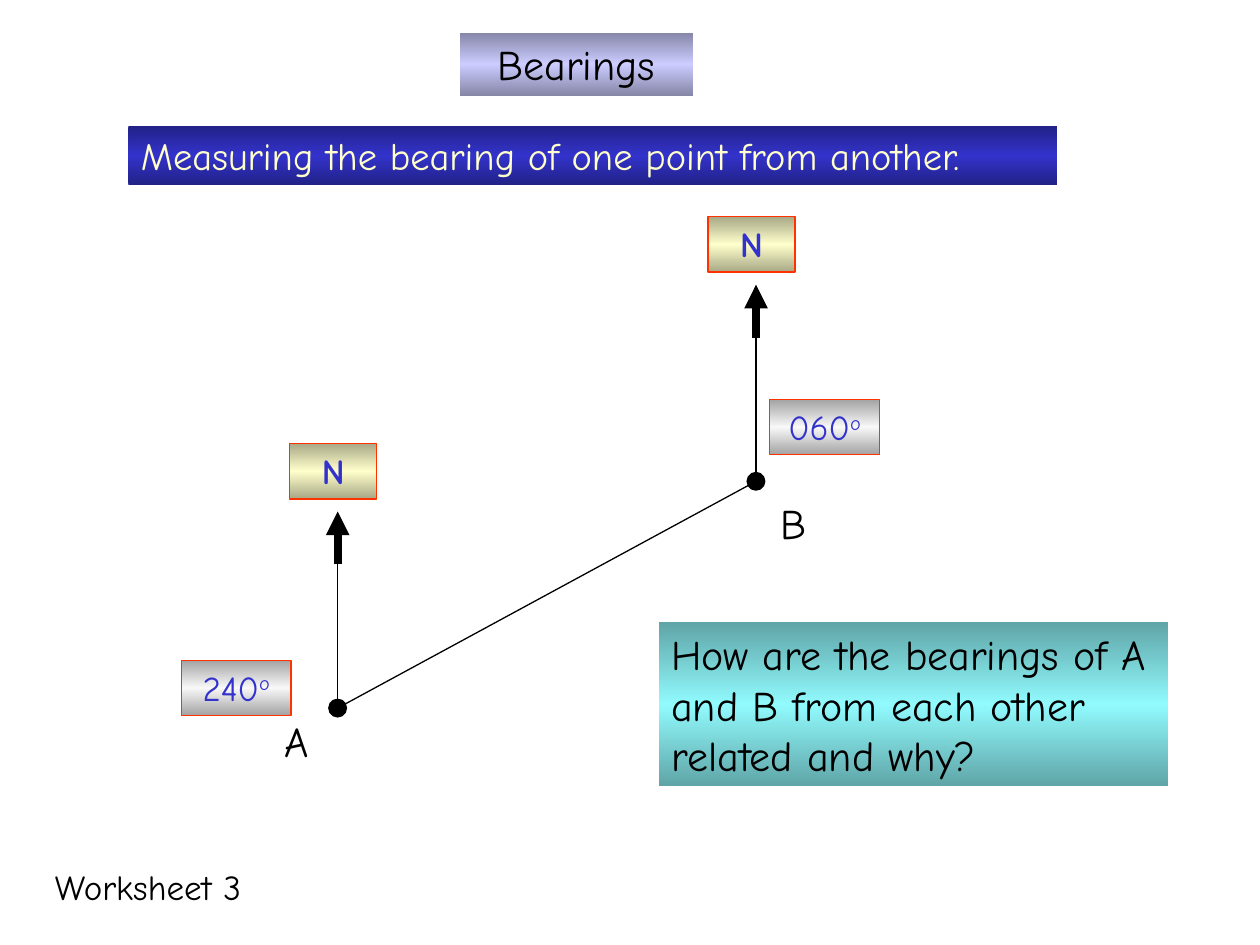
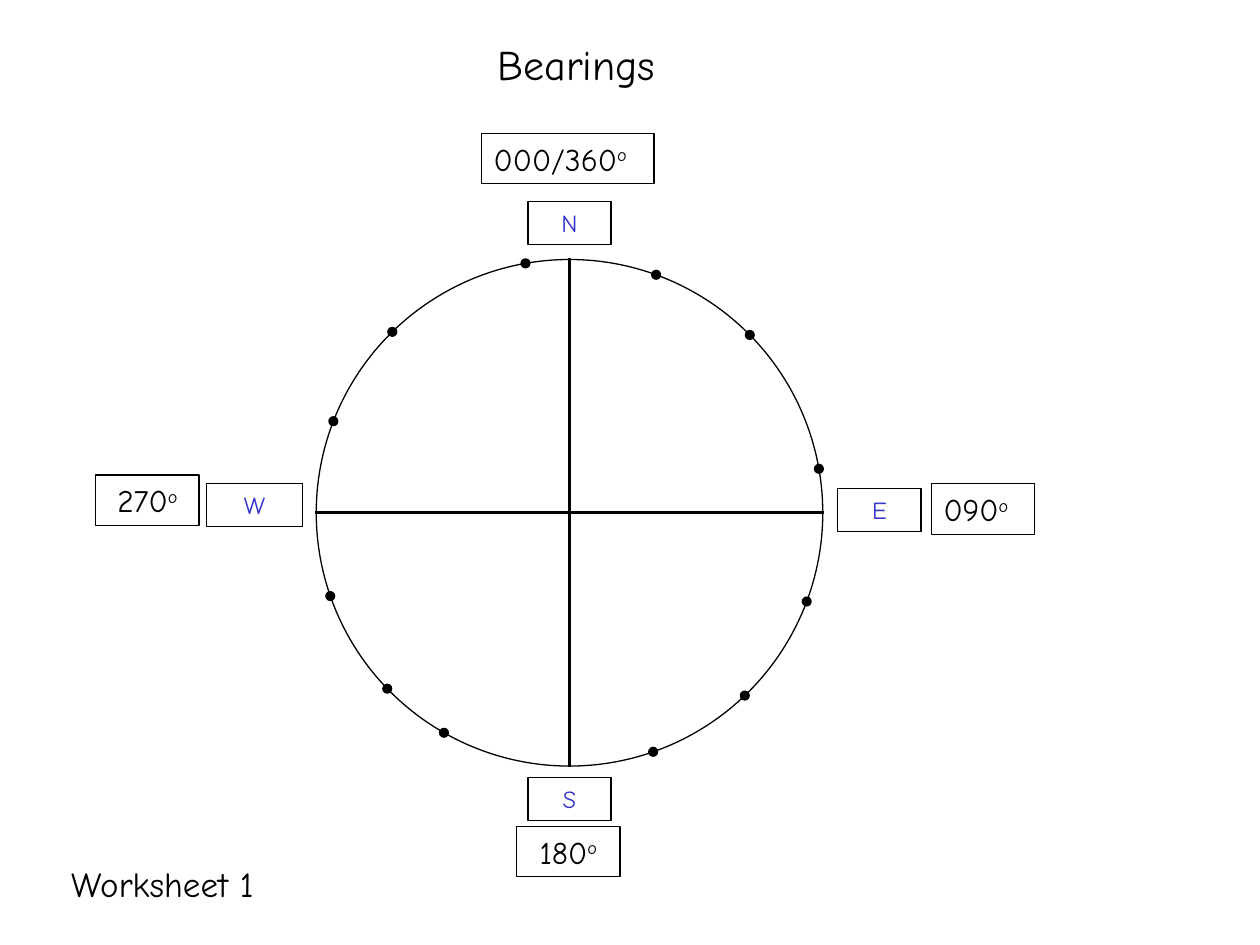
import copy
import math

import pptx
import pptx.dml.color
import pptx.enum.shapes
import pptx.enum.text
import pptx.oxml.ns
import pptx.util
from lxml import etree

Inches = pptx.util.Inches
Pt = pptx.util.Pt
RGBColor = pptx.dml.color.RGBColor
Align = pptx.enum.text.PP_ALIGN
qn = pptx.oxml.ns.qn

FONT = "Comic Neue"
BLACK = RGBColor(0x00, 0x00, 0x00)
BLUE = RGBColor(0x33, 0x33, 0xCC)
CREAM = RGBColor(0xFF, 0xFF, 0xCC)
RED = RGBColor(0xFF, 0x33, 0x00)
LILAC_BAND = (RGBColor(0x86, 0x86, 0xA8), RGBColor(0xCC, 0xCC, 0xFF))
BLUE_BAND = (RGBColor(0x21, 0x21, 0x86), BLUE)
CREAM_BAND = (RGBColor(0xA8, 0xA8, 0x86), CREAM)
GREY_BAND = (RGBColor(0xA3, 0xA3, 0xA3), RGBColor(0xF8, 0xF8, 0xF8))
TEAL_BAND = (RGBColor(0x5F, 0xA5, 0xA7), RGBColor(0x91, 0xFA, 0xFD))


def fill_band(shape, band):
    edge, middle = band
    shape.fill.gradient()
    shape.fill.gradient_angle = 90
    stop_list = next(shape._element.iter(qn("a:gsLst")))
    stop_list.insert(1, copy.deepcopy(stop_list[0]))
    for stop, colour, position in zip(shape.fill.gradient_stops,
                                      (edge, middle, edge), (0, 0.5, 1)):
        stop.color.rgb = colour
        stop.position = position


def add_span(para, text, size, colour, bold=False, raised=False):
    span = para.add_run()
    span.text = text
    span.font.name = FONT
    span.font.size = Pt(size)
    span.font.color.rgb = colour
    if bold:
        span.font.bold = True
    if raised:
        span._r.get_or_add_rPr().set("baseline", "30000")


def add_label(slide, place, text, size, colour=BLACK, align=Align.CENTER,
              band=None, border=None, bold=False, degrees=False):
    box = slide.shapes.add_textbox(*map(Inches, place))
    if band:
        fill_band(box, band)
    if border is not None:
        box.line.color.rgb = border
        box.line.width = Pt(0.75)
    box.text_frame.word_wrap = True
    para = box.text_frame.paragraphs[0]
    para.alignment = align
    add_span(para, text, size, colour, bold)
    if degrees:
        add_span(para, "o", size, colour, raised=True)


def add_line(slide, start, end, width=0.75, arrow=False):
    line = slide.shapes.add_connector(pptx.enum.shapes.MSO_CONNECTOR.STRAIGHT,
                                      *map(Inches, (*start, *end)))
    line.line.color.rgb = BLACK
    line.line.width = Pt(width)
    if arrow:
        etree.SubElement(line.line._get_or_add_ln(), qn("a:tailEnd"), type="triangle")
    etree.SubElement(line._element.spPr, qn("a:effectLst"))


def add_circle(slide, x, y, radius, filled=True):
    circle = slide.shapes.add_shape(
        pptx.enum.shapes.MSO_SHAPE.OVAL,
        *map(Inches, (x - radius, y - radius, 2 * radius, 2 * radius)))
    circle.shadow.inherit = False
    if filled:
        circle.fill.solid()
        circle.fill.fore_color.rgb = BLACK
    else:
        circle.fill.background()
    circle.line.color.rgb = BLACK
    circle.line.width = Pt(0.75)


def add_title(slide, band=None):
    add_label(slide, (3.65, 0.26, 1.85, 0.5), "Bearings", 24, band=band)


def add_worksheet_name(slide, number, top, width):
    add_label(slide, (0, top, width, 0.44), f"Worksheet {number}", 20)


def add_bearing_point(slide, point, name, name_offset, bearing, bearing_offset):
    x, y = point
    add_line(slide, (x, y - 0.07), (x, y - 1.54))
    add_line(slide, (x, y - 1.14), (x, y - 1.56), 4.5, arrow=True)
    add_label(slide, (x - 0.38, y - 2.1, 0.69, 0.44), "N", 20, BLUE,
              band=CREAM_BAND, border=RED, bold=True)
    add_label(slide, (x + bearing_offset[0], y + bearing_offset[1], 0.87, 0.44),
              bearing, 20, BLUE, band=GREY_BAND, border=RED, degrees=True)
    add_label(slide, (x + name_offset[0], y + name_offset[1], 0.63, 0.5), name, 24)
    add_circle(slide, x, y, 0.07)


def add_compass(slide, x, y, radius, bearings):
    reach = radius + 0.01
    add_circle(slide, x, y, radius, filled=False)
    add_line(slide, (x - reach, y), (x + reach, y), 1.5)
    add_line(slide, (x, y + reach), (x, y - reach), 1.5)
    for name, left, top, width in (("N", -0.33, -2.47, 0.66), ("S", -0.33, 2.1, 0.66),
                                   ("E", 2.13, -0.19, 0.66), ("W", -2.88, -0.23, 0.76)):
        add_label(slide, (x + left, y + top, width, 0.34), name, 14, BLUE, border=BLACK)
    for angle, left, top, width, align in (
            ("090", 2.87, -0.23, 0.82, Align.LEFT),
            ("000/360", -0.7, -3.01, 1.37, Align.LEFT),
            ("270", -3.76, -0.3, 0.82, Align.CENTER),
            ("180", -0.42, 2.49, 0.82, Align.CENTER)):
        add_label(slide, (x + left, y + top, width, 0.4), angle, 18,
                  align=align, border=BLACK, degrees=True)
    for bearing in bearings:
        turn = math.radians(bearing)
        add_circle(slide, x + radius * math.sin(turn), y - radius * math.cos(turn), 0.035)


def build_measuring_slide(slide):
    point_a, point_b = (2.68, 5.62), (6, 3.82)
    add_title(slide, LILAC_BAND)
    add_label(slide, (1.02, 1, 7.37, 0.47),
              "Measuring the bearing of one point from another.", 22, CREAM,
              Align.LEFT, BLUE_BAND)
    add_line(slide, point_a, point_b)
    add_bearing_point(slide, point_a, "A", (-0.64, 0.01), "240", (-1.24, -0.38))
    add_bearing_point(slide, point_b, "B", (-0.02, 0.08), "060", (0.11, -0.65))
    add_label(slide, (5.23, 4.94, 4.04, 1.3),
              "How are the bearings of A and B from each other related and why?",
              24, align=Align.LEFT, band=TEAL_BAND)
    add_worksheet_name(slide, 3, 6.82, 2.35)


def build_compass_slide(slide):
    add_title(slide)
    add_compass(slide, 4.52, 4.07, 2.01,
                (20, 45.4, 80, 110.5, 136.2, 160.7,
                 209.7, 226, 250.8, 291.2, 315.6, 350))
    add_worksheet_name(slide, 1, 6.8, 2.58)


def main():
    deck = pptx.Presentation()
    deck.slide_width = Inches(10)
    deck.slide_height = Inches(7.5)
    for build in (build_measuring_slide, build_compass_slide):
        build(deck.slides.add_slide(deck.slide_layouts[6]))
    deck.save("out.pptx")


if __name__ == "__main__":
    main()
